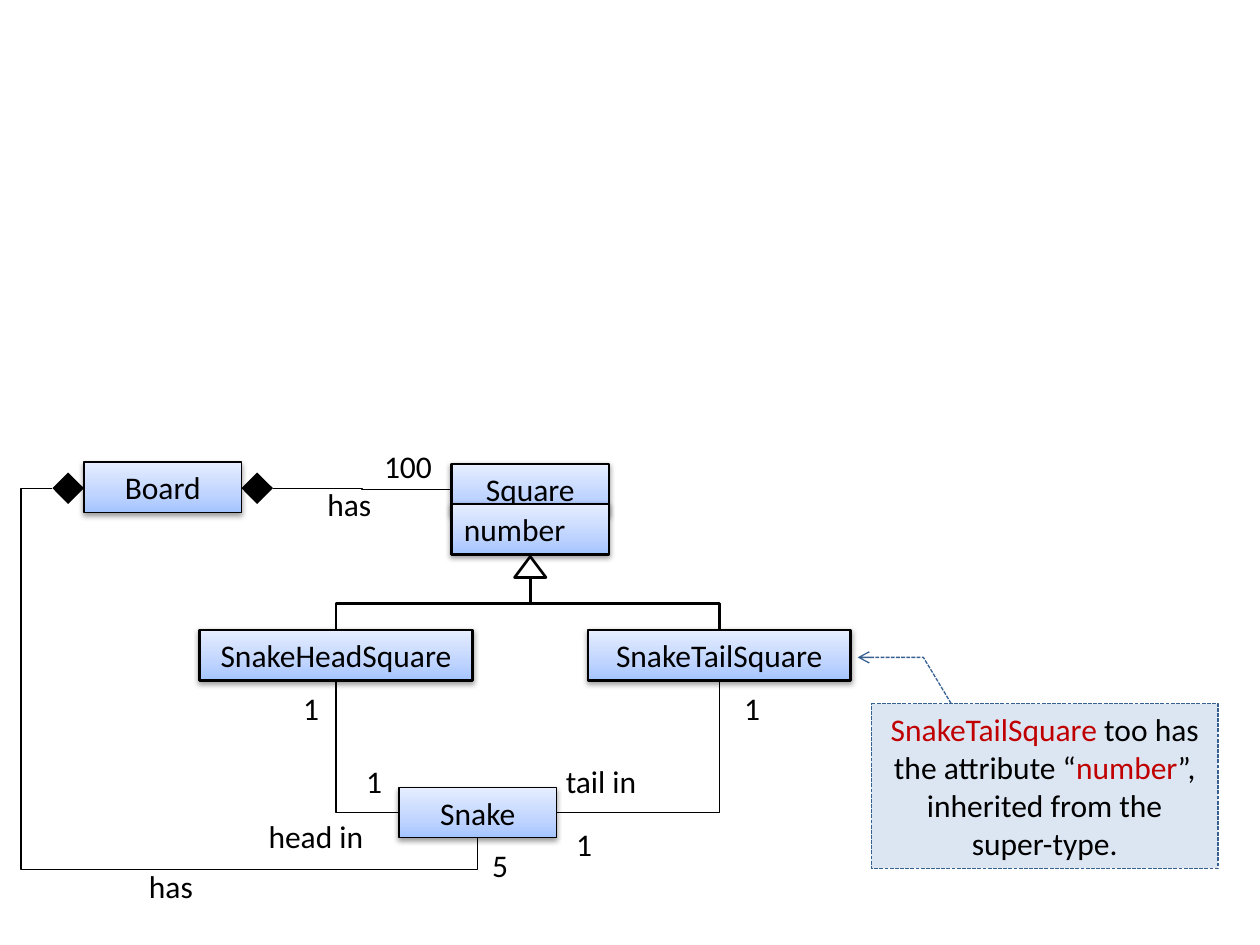
from copy import deepcopy

from lxml import etree
from pptx import Presentation
from pptx import util as u
from pptx.dml.color import RGBColor
from pptx.enum import dml, shapes, text
from pptx.oxml.ns import qn

PX = 7620
BLACK = "000000"
RED = "C00000"
GRADIENT = [(0, "A4C4FF"), (0.35, "BFD4FF"), (1, "E6EEFF")]


def px(length):
    """Turn px into EMU."""
    return u.Emu(round(length * PX))


def rgb(value):
    """Turn a hex string into a colour."""
    return RGBColor.from_string(value)


def style_font(paragraph):
    """Apply the diagram's common font."""
    paragraph.font.name = "Calibri"
    paragraph.font.size = u.Pt(18)
    paragraph.font.color.rgb = rgb(BLACK)


def add_shape(slide, preset, box, fill=None, line=None, width=0.75):
    """Add a flat preset shape with optional solid fill and outline."""
    shape = slide.shapes.add_shape(preset, *map(px, box))
    shape.shadow.inherit = False
    if fill:
        shape.fill.solid()
        shape.fill.fore_color.rgb = rgb(fill)
    if line:
        shape.line.color.rgb = rgb(line)
        shape.line.width = u.Pt(width)
    else:
        shape.line.fill.background()
    return shape


def add_class(slide, name, box, width=0.75, align=text.PP_ALIGN.CENTER):
    """Add a class box with gradient and soft shadow."""
    shape = add_shape(slide, shapes.MSO_SHAPE.RECTANGLE, box, None, BLACK, width)
    shape.fill.gradient()
    shape.fill.gradient_angle = 90
    stops = shape._element.spPr.find(".//" + qn("a:gsLst"))
    stops.append(deepcopy(stops[-1]))
    for stop, (position, color) in zip(shape.fill.gradient_stops, GRADIENT):
        stop.position = position
        stop.color.rgb = rgb(color)
    effects = shape._element.spPr.find(qn("a:effectLst"))
    shadow = etree.SubElement(effects, qn("a:outerShdw"), blurRad="40000",
                              dist="20000", dir="5400000", rotWithShape="0")
    color = etree.SubElement(shadow, qn("a:srgbClr"), val=BLACK)
    etree.SubElement(color, qn("a:alpha"), val="38000")
    frame = shape.text_frame
    frame.word_wrap = True
    frame.auto_size = text.MSO_AUTO_SIZE.SHAPE_TO_FIT_TEXT
    frame.vertical_anchor = text.MSO_ANCHOR.MIDDLE
    paragraph = frame.paragraphs[0]
    paragraph.text = name
    paragraph.alignment = align
    style_font(paragraph)
    return shape


def add_label(slide, box, *lines):
    """Add a text box from (words, indent in px) lines."""
    frame = slide.shapes.add_textbox(*map(px, box)).text_frame
    frame.word_wrap = True
    frame.auto_size = text.MSO_AUTO_SIZE.SHAPE_TO_FIT_TEXT
    for index, (words, indent) in enumerate(lines):
        paragraph = frame.add_paragraph() if index else frame.paragraphs[0]
        paragraph.text = words
        if indent:
            paragraph._p.get_or_add_pPr().set("marL", str(px(indent)))
        style_font(paragraph)


def add_elbow(slide, begin, end, preset="bentConnector3", width=0.75, adjust=()):
    """Add an elbow connector that leaves its start horizontally."""
    connector = slide.shapes.add_connector(
        shapes.MSO_CONNECTOR.ELBOW, *map(px, (*begin, *end)))
    connector.line.color.rgb = rgb(BLACK)
    connector.line.width = u.Pt(width)
    properties = connector._element.spPr
    etree.SubElement(properties, qn("a:effectLst"))
    geometry = properties.find(qn("a:prstGeom"))
    geometry.set("prst", preset)
    for number, value in enumerate(adjust, 1):
        etree.SubElement(geometry.find(qn("a:avLst")), qn("a:gd"),
                         name=f"adj{number}", fmla=f"val {round(value * 100000)}")
    return connector


def add_vertical_elbow(slide, begin, end, **options):
    """Add an elbow connector that leaves its start vertically."""
    (x1, y1), (x2, y2) = begin, end
    middle_x, middle_y = (x1 + x2) / 2, (y1 + y2) / 2
    half_width, half_height = abs(y2 - y1) / 2, abs(x2 - x1) / 2
    connector = add_elbow(slide, (middle_x - half_width, middle_y - half_height),
                          (middle_x + half_width, middle_y + half_height), **options)
    transform = connector._element.spPr.find(qn("a:xfrm"))
    goes_left, goes_down = x2 < x1, y2 > y1
    transform.set("rot", str((90 if goes_left else 270) * 60000))
    if goes_left != goes_down:
        transform.set("flipH", "1")


def add_note(slide, box):
    """Add the dashed callout about the inherited attribute."""
    shape = add_shape(slide, shapes.MSO_SHAPE.LINE_CALLOUT_2, box, "DCE6F2", "376092")
    for index, value in enumerate((0, 0.23, -0.28, 0.15, -0.28, -0.04)):
        shape.adjustments[index] = value
    shape.line.dash_style = dml.MSO_LINE.SQUARE_DOT
    etree.SubElement(shape.line._get_or_add_ln(), qn("a:tailEnd"), type="arrow")
    frame = shape.text_frame
    frame.word_wrap = True
    frame.auto_size = text.MSO_AUTO_SIZE.SHAPE_TO_FIT_TEXT
    frame.vertical_anchor = text.MSO_ANCHOR.MIDDLE
    paragraph = frame.paragraphs[0]
    paragraph.alignment = text.PP_ALIGN.CENTER
    style_font(paragraph)
    for words, color in (("SnakeTailSquare", RED), (" too has the attribute “", BLACK),
                         ("number", RED),
                         ("”, inherited from the super-type.", BLACK)):
        run = paragraph.add_run()
        run.text = words
        run.font.name = "Calibri"
        run.font.size = u.Pt(18)
        run.font.color.rgb = rgb(color)


def add_board(slide, left, top):
    """Add the board with a composition diamond on each side."""
    add_class(slide, "Board", (left, top, 150, 48))
    return [add_shape(slide, shapes.MSO_SHAPE.FLOWCHART_DECISION,
                      (left + offset, top + 10, 30, 30), BLACK)
            for offset in (-30, 150)]


def add_inheritance(slide, left, top):
    """Add the inheritance triangle and its two branches."""
    for x in (-185, 180):
        add_vertical_elbow(slide, (left + 15, top + 20), (left + 15 + x, top + 70),
                           width=1.5)
    add_shape(slide, shapes.MSO_SHAPE.ISOSCELES_TRIANGLE, (left, top, 30, 20),
              "FFFFFF", BLACK, 1.5)


def add_diagram(slide):
    """Add the whole class diagram."""
    board_diamond = add_board(slide, 80, 440)[1]
    square = add_class(slide, "Square", (430, 442, 150, 48), 1.5)
    link = add_elbow(slide, (260, 465), (430, 466))
    link.begin_connect(board_diamond, 3)
    link.end_connect(square, 1)
    add_class(slide, "number", (430, 480, 150, 48), 1.5, text.PP_ALIGN.LEFT)
    add_class(slide, "Snake", (380, 750, 150, 48))
    add_class(slide, "SnakeHeadSquare", (190, 600, 260, 48), 1.5)
    add_class(slide, "SnakeTailSquare", (560, 600, 250, 48), 1.5)
    add_inheritance(slide, 490, 530)
    add_elbow(slide, (530, 774), (685, 648), "bentConnector2")
    add_elbow(slide, (380, 774), (320, 648), "bentConnector2")
    add_vertical_elbow(slide, (455, 798), (50, 465), preset="bentConnector4",
                       adjust=(-30 / 333, 435 / 405))
    add_label(slide, (300, 420, 130, 85), ("100", 54), ("has", 0))
    add_label(slide, (230, 772, 160, 48), ("head in", 14))
    add_label(slide, (520, 720, 160, 48), ("tail in", 7))
    add_label(slide, (130, 820, 140, 48), ("has", 0))
    for left, top, count in ((690, 650, "1"), (270, 650, "1"), (450, 800, "5"),
                             (530, 780, "1"), (330, 720, "1")):
        add_label(slide, (left, top, 50, 50), (count, 7))
    add_note(slide, (830, 670, 330, 157))


def main():
    """Build and save the presentation."""
    presentation = Presentation()
    presentation.slide_width, presentation.slide_height = px(1200), px(900)
    add_diagram(presentation.slides.add_slide(presentation.slide_layouts[6]))
    presentation.save("out.pptx")


if __name__ == "__main__":
    main()
